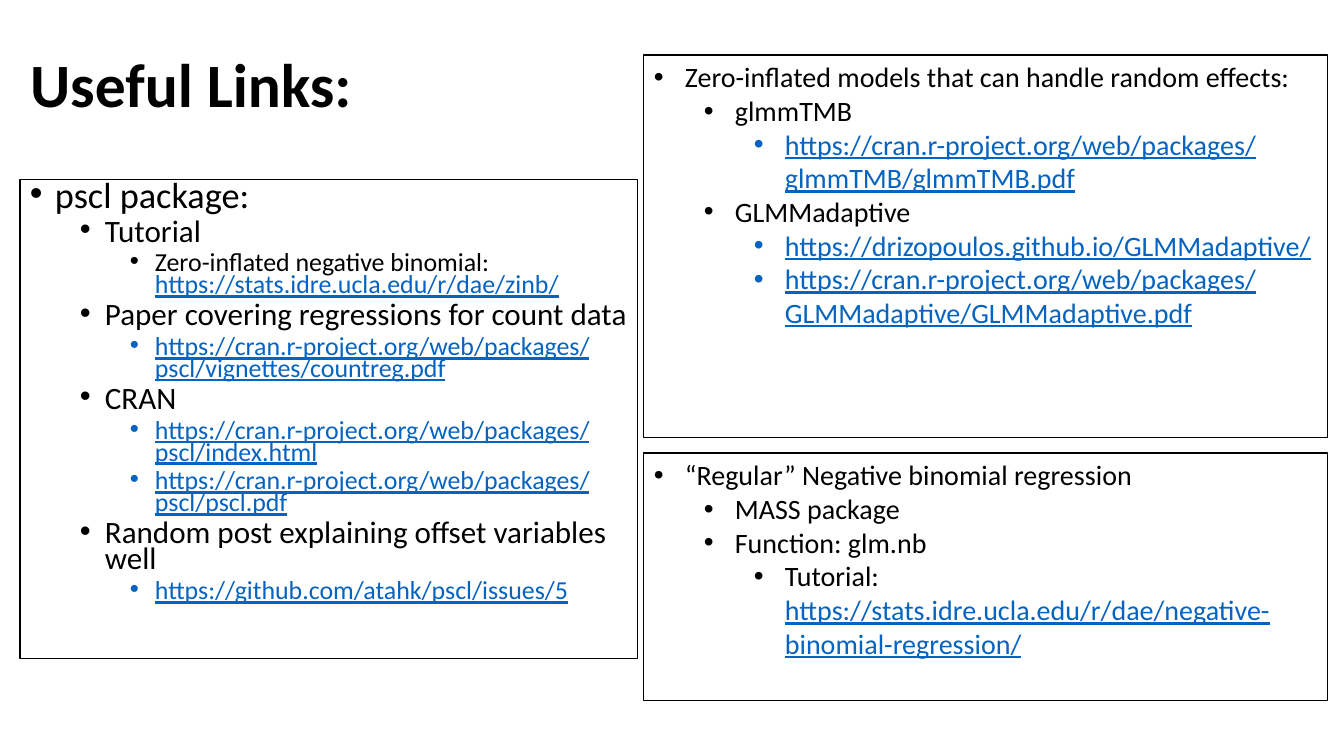
from lxml import etree
from pptx import Presentation
from pptx.dml.color import RGBColor
from pptx.enum.text import MSO_ANCHOR, MSO_AUTO_SIZE, PP_ALIGN
from pptx.oxml.ns import qn
from pptx.util import Pt

EMU_PER_PX = 914400 / 100.8
LEFT = PP_ALIGN.LEFT
MIDDLE = MSO_ANCHOR.MIDDLE
TOP = MSO_ANCHOR.TOP
NO_AUTOFIT = MSO_AUTO_SIZE.NONE
FONT = "Calibri"
BLACK = "000000"
LINK_BLUE = "0563C1"
LEVEL_STEP = 50

TITLE = "Useful Links:"
TITLE_PLACE = (20, 44, 345, 87)

PANELS = [
    {
        "place": (20, 179, 618, 480),
        "sizes": (25.9, 22.2, 18.5),
        "hanging": 25,
        "line_spacing": 0.7,
        "space_before": 5,
        "items": [
            (0, ["pscl package:"]),
            (1, ["Tutorial"]),
            (2, ["Zero-inflated negative binomial: ", "https://stats.idre.ucla.edu/r/dae/zinb/"]),
            (1, ["Paper covering regressions for count data"]),
            (2, ["https://cran.r-project.org/web/packages/pscl/vignettes/countreg.pdf"]),
            (1, ["CRAN"]),
            (2, ["https://cran.r-project.org/web/packages/pscl/index.html"]),
            (2, ["https://cran.r-project.org/web/packages/pscl/pscl.pdf"]),
            (1, ["Random post explaining offset variables well"]),
            (2, ["https://github.com/atahk/pscl/issues/5"]),
        ],
    },
    {
        "place": (644, 453, 684, 248),
        "sizes": (20, 20, 20),
        "hanging": 31,
        "line_spacing": 1.0,
        "space_before": 0,
        "items": [
            (0, ["“Regular” Negative binomial regression"]),
            (1, ["MASS package"]),
            (1, ["Function: glm.nb"]),
            (2, ["Tutorial: ", "https://stats.idre.ucla.edu/r/dae/negative-binomial-regression/"]),
        ],
    },
    {
        "place": (644, 55, 684, 383),
        "sizes": (20, 20, 20),
        "hanging": 31,
        "line_spacing": 1.0,
        "space_before": 0,
        "items": [
            (0, ["Zero-inflated models that can handle random effects:"]),
            (1, ["glmmTMB"]),
            (2, ["https://cran.r-project.org/web/packages/glmmTMB/glmmTMB.pdf"]),
            (1, ["GLMMadaptive"]),
            (2, ["https://drizopoulos.github.io/GLMMadaptive/"]),
            (2, ["https://cran.r-project.org/web/packages/GLMMadaptive/GLMMadaptive.pdf"]),
        ],
    },
]


def px(length):
    return round(length * EMU_PER_PX)


def color(hex_value):
    return RGBColor.from_string(hex_value)


def text_color(text):
    return LINK_BLUE if text.startswith("https://") else BLACK


def add_bullet(para, indent, hanging, hex_value):
    properties = para._p.get_or_add_pPr()
    properties.set("marL", str(px(indent)))
    properties.set("indent", str(-px(hanging)))
    bullet_color = etree.SubElement(properties, qn("a:buClr"))
    etree.SubElement(bullet_color, qn("a:srgbClr"), val=hex_value)
    etree.SubElement(properties, qn("a:buFont"), typeface="Arial")
    etree.SubElement(properties, qn("a:buChar"), char="•")


def style_span(span, size, hex_value):
    span.font.name = FONT
    span.font.size = Pt(size)
    span.font.color.rgb = color(hex_value)


def add_panel(slide, panel):
    box = slide.shapes.add_textbox(*map(px, panel["place"]))
    box.line.color.rgb = color(BLACK)
    box.line.width = Pt(0.75)
    frame = box.text_frame
    frame.word_wrap = True
    frame.auto_size = NO_AUTOFIT
    frame.vertical_anchor = TOP
    for number, (level, texts) in enumerate(panel["items"]):
        para = frame.add_paragraph() if number else frame.paragraphs[0]
        para.level = level
        indent = panel["hanging"] + level * LEVEL_STEP
        add_bullet(para, indent, panel["hanging"], text_color(texts[0]))
        para.line_spacing = panel["line_spacing"]
        para.space_before = Pt(panel["space_before"] if number else 0)
        for text in texts:
            span = para.add_run()
            span.text = text
            style_span(span, panel["sizes"][level], text_color(text))
            span.font.underline = text_color(text) == LINK_BLUE


def add_title(slide):
    title = slide.shapes.title
    title.left, title.top, title.width, title.height = map(px, TITLE_PLACE)
    frame = title.text_frame
    frame.text = TITLE
    frame.word_wrap = True
    frame.auto_size = NO_AUTOFIT
    frame.vertical_anchor = MIDDLE
    para = frame.paragraphs[0]
    para.alignment = LEFT
    para.line_spacing = 0.9
    style_span(para.runs[0], 44, BLACK)
    para.runs[0].font.bold = True


def main():
    deck = Presentation()
    deck.slide_width, deck.slide_height = px(1344), px(756)
    slide = deck.slides.add_slide(deck.slide_layouts[5])
    add_title(slide)
    for panel in PANELS:
        add_panel(slide, panel)
    deck.save("out.pptx")


if __name__ == "__main__":
    main()
